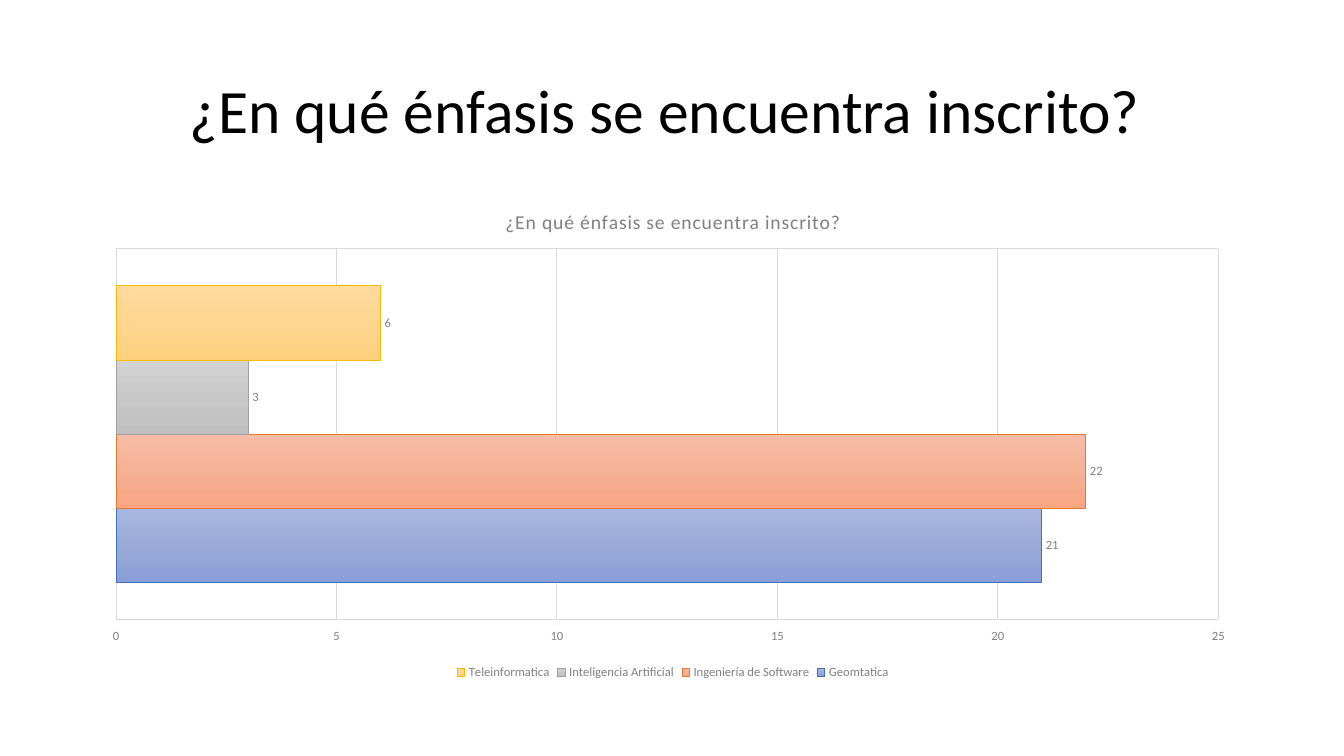
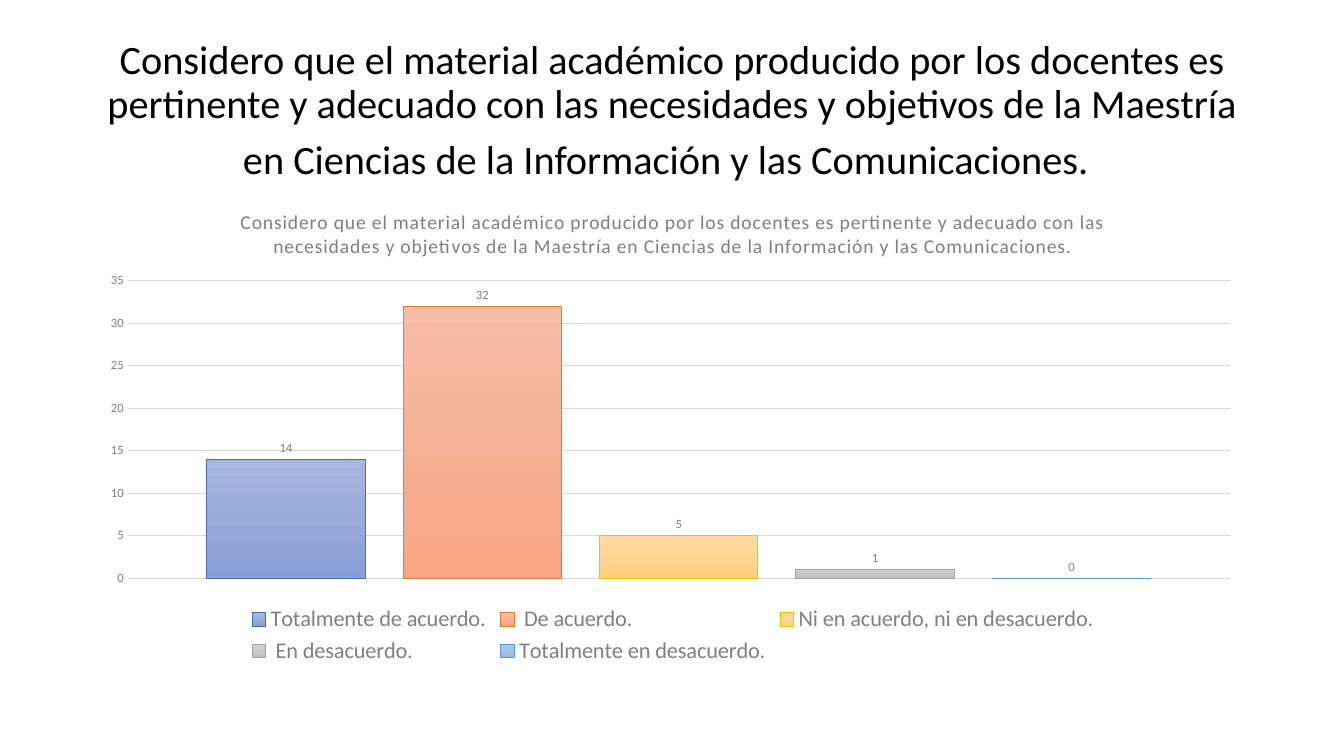
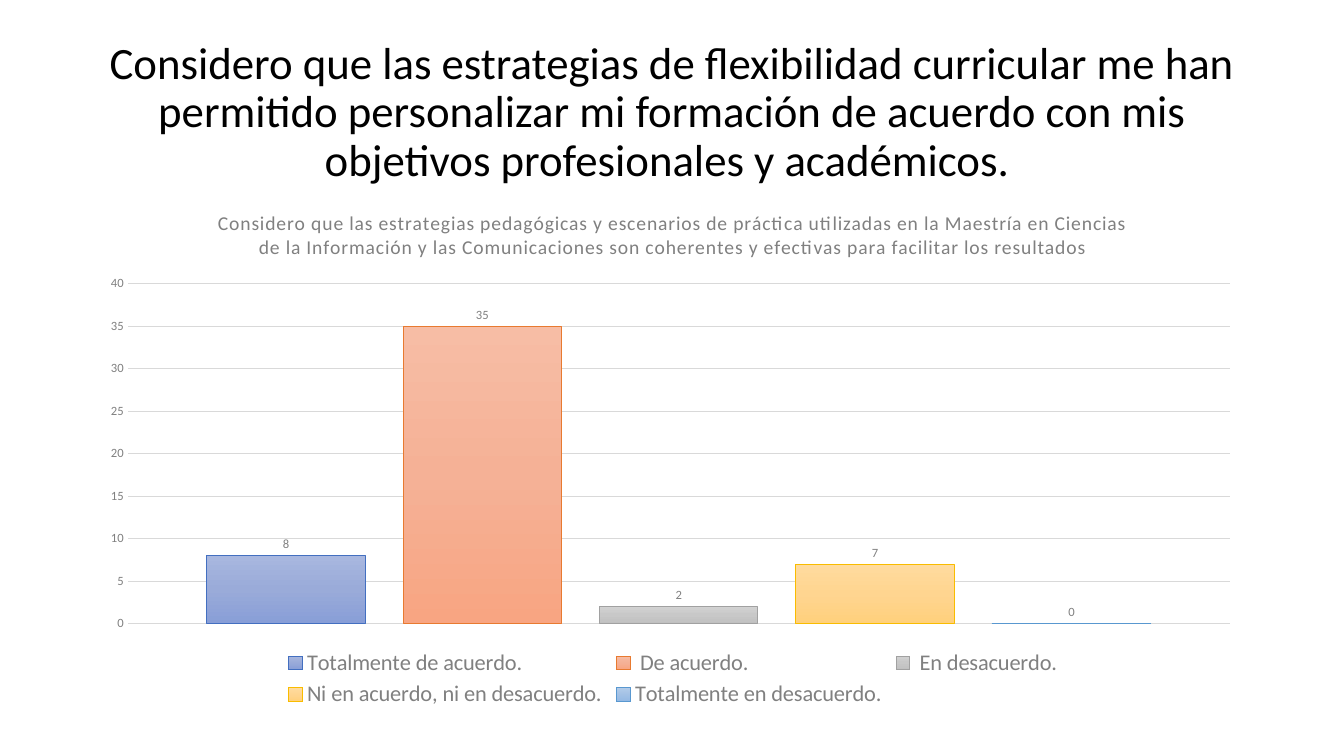
from lxml import etree
from pptx import Presentation
from pptx import util as u
from pptx.chart.data import CategoryChartData
from pptx.dml.color import RGBColor
from pptx.enum import chart as ch
from pptx.enum import text
from pptx.oxml import parse_xml
from pptx.oxml.ns import nsdecls

FACE = "Calibri"
HUES = {
    "ink": "000000",
    "grey": "808080",
    "grid": "D9D9D9",
    "white": "FFFFFF",
}
FILLS = {
    "blue": ("A8B7DF", "9AABD9", "889ED7", "436FC0"),
    "coral": ("F7BDA5", "F5B196", "F8A582", "E87A30"),
    "ash": ("D2D2D2", "C8C8C8", "C0C0C0", "A1A1A1"),
    "gold": ("FFDB9E", "FFD590", "FFD07C", "F9BC00"),
    "sky": ("B1CBE9", "A3C1E5", "93B9E4", "5998D0"),
}
YES = ("Totalmente de acuerdo.", "blue")
AGREE = (" De acuerdo.", "coral")
MID = ("Ni en acuerdo, ni en desacuerdo.", "gold")
DIFFER = (" En desacuerdo.", "ash")
NO = ("Totalmente en desacuerdo.", "sky")

HEAD = (2.34, 1.02, 29.21, 3.68)
BAR = {
    "kind": ch.XL_CHART_TYPE.BAR_CLUSTERED,
    "overlap": 0,
    "legend": 9,
    "tick": ch.XL_TICK_MARK.INSIDE,
    "low": ch.XL_TICK_LABEL_POSITION.LOW,
    "rows": True,
}
COLUMN = {
    "kind": ch.XL_CHART_TYPE.COLUMN_CLUSTERED,
    "overlap": -24,
    "legend": 16,
    "tick": ch.XL_TICK_MARK.NONE,
    "low": ch.XL_TICK_LABEL_POSITION.NEXT_TO_AXIS,
    "rows": False,
}
SLIDES = [
    {
        "head": "¿En qué énfasis se encuentra inscrito?",
        "size": 44, "tail": (44, 30),
        "title": "¿En qué énfasis se encuentra inscrito?",
        "style": BAR, "high": 12.45, "plot": (0.02, 0.12, 0.95, 0.75), "top": 25,
        "data": [(("Geomtatica", "blue"), 21), (("Ingeniería de Software", "coral"), 22),
                 (("Inteligencia Artificial", "ash"), 3), (("Teleinformatica", "gold"), 6)],
    },
    {
        "head": "Considero que el material académico producido por los docentes es pertinente "
                "y adecuado con las necesidades y objetivos de la Maestría en Ciencias de la "
                "Información y las Comunicaciones.",
        "size": 28.8, "tail": (39.6, 22),
        "title": "Considero que el material académico producido por los docentes es pertinente "
                 "y adecuado con las necesidades y objetivos de la Maestría en Ciencias de la "
                 "Información y las Comunicaciones.",
        "style": COLUMN, "high": 12.09, "plot": (0.03, 0.19, 0.95, 0.62), "top": 35,
        "data": [(YES, 14), (AGREE, 32), (MID, 5), (DIFFER, 1), (NO, 0)],
    },
    {
        "head": "Considero que las estrategias de flexibilidad curricular me han permitido "
                "personalizar mi formación de acuerdo con mis objetivos profesionales y "
                "académicos.",
        "size": 32, "tail": (32, 22),
        "title": "Considero que las estrategias pedagógicas y escenarios de práctica utilizadas "
                 "en la Maestría en Ciencias de la Información y las Comunicaciones son "
                 "coherentes y efectivas para facilitar los resultados",
        "style": COLUMN, "high": 13.18, "plot": (0.03, 0.18, 0.95, 0.65), "top": 40,
        "data": [(YES, 8), (AGREE, 35), (DIFFER, 2), (MID, 7), (NO, 0)],
    },
]


def put(item, **vals):
    """Set each named value on an object."""
    for key, val in vals.items():
        setattr(item, key, val)


def ink(font, size, hue):
    """Give a font its face, size and colour."""
    put(font, name=FACE, size=u.Pt(size), bold=False)
    font.color.rgb = RGBColor.from_string(HUES[hue])


def stroke(line, code):
    """Give a line its colour and the shared width."""
    line.color.rgb = RGBColor.from_string(code)
    line.width = u.Pt(0.75)


def write(para, words, size, hue, gap=0):
    """Add a run with a letter gap in points."""
    run = para.add_run()
    run.text = words
    ink(run.font, size, hue)
    if gap:
        run.font._element.set("spc", str(round(gap * 100)))


def heading(slide, box, page):
    """Place the centred slide heading in a box."""
    frame = slide.shapes.add_textbox(*map(u.Cm, box)).text_frame
    put(frame, word_wrap=True, vertical_anchor=text.MSO_ANCHOR.MIDDLE)
    para = frame.paragraphs[0]
    put(para, alignment=text.PP_ALIGN.CENTER, line_spacing=0.9)
    write(para, page["head"], page["size"], "ink")
    size, gap = page["tail"]
    write(para, "\u00a0", size, "ink", gap)


def shade(ser, tone):
    """Fill a series with its gradient and outline it."""
    *stops, edge = FILLS[tone]
    marks = "".join(
        f'<a:gs pos="{pos * 50000}"><a:srgbClr val="{code}"/></a:gs>'
        for pos, code in enumerate(stops))
    ser._element.get_or_add_spPr().insert(0, parse_xml(
        f'<a:gradFill {nsdecls("a")} rotWithShape="1"><a:gsLst>{marks}</a:gsLst>'
        '<a:lin ang="5400000" scaled="0"/></a:gradFill>'))
    stroke(ser.format.line, edge)
    labels = ser.data_labels
    put(labels, show_value=True, position=ch.XL_LABEL_POSITION.OUTSIDE_END)
    ink(labels.font, 9, "grey")


def inset(chart, parts):
    """Fix the inner plot area as fractions of the chart."""
    area = chart._chartSpace.chart.plotArea
    for old in area.findall("{*}layout"):
        area.remove(old)
    layout = parse_xml(
        f'<c:layout {nsdecls("c")}><c:manualLayout><c:layoutTarget val="inner"/>'
        '<c:xMode val="edge"/><c:yMode val="edge"/></c:manualLayout></c:layout>')
    for key, val in zip("xywh", parts):
        etree.SubElement(layout[0], layout[0][0].tag.replace("layoutTarget", key), val=str(val))
    area.insert(0, layout)


def axes(chart, style, top):
    """Style the value axis and hide the category axis."""
    cat, val = chart.category_axis, chart.value_axis
    put(cat, visible=False, has_major_gridlines=style["rows"])
    put(val, minimum_scale=0, maximum_scale=top, major_unit=5, has_major_gridlines=True,
        major_tick_mark=style["tick"], minor_tick_mark=ch.XL_TICK_MARK.NONE,
        tick_label_position=style["low"])
    val.format.line.fill.background()
    ink(val.tick_labels.font, 9, "grey")
    for axis in (cat, val):
        if axis.has_major_gridlines:
            stroke(axis.major_gridlines.format.line, HUES["grid"])


def graph(slide, box, page):
    """Place the survey chart in a box."""
    style = page["style"]
    data = CategoryChartData()
    data.categories = ["1"]
    for (name, _), val in page["data"]:
        data.add_series(name, [val])
    chart = slide.shapes.add_chart(style["kind"], *map(u.Cm, box), data).chart
    ink(chart.font, 10, "ink")
    put(chart, has_title=True, has_legend=True)
    para = chart.chart_title.text_frame.paragraphs[0]
    write(para, page["title"], 14, "grey", 0.5)
    put(chart.legend, position=ch.XL_LEGEND_POSITION.BOTTOM, include_in_layout=False)
    ink(chart.legend.font, style["legend"], "grey")
    plot = chart.plots[0]
    put(plot, gap_width=100, overlap=style["overlap"], vary_by_categories=False)
    for ser, ((_, tone), _) in zip(plot.series, page["data"]):
        shade(ser, tone)
    axes(chart, style, page["top"])
    inset(chart, page["plot"])


def main():
    """Build the deck and save it."""
    deck = Presentation()
    put(deck, slide_width=u.Cm(33.87), slide_height=u.Cm(19.05))
    for page in SLIDES:
        slide = deck.slides.add_slide(deck.slide_layouts[6])
        back = slide.background.fill
        back.solid()
        back.fore_color.rgb = RGBColor.from_string(HUES["white"])
        heading(slide, HEAD, page)
        graph(slide, (2.34, 4.78, 29.24, page["high"]), page)
    deck.save("out.pptx")


if __name__ == "__main__":
    main()
